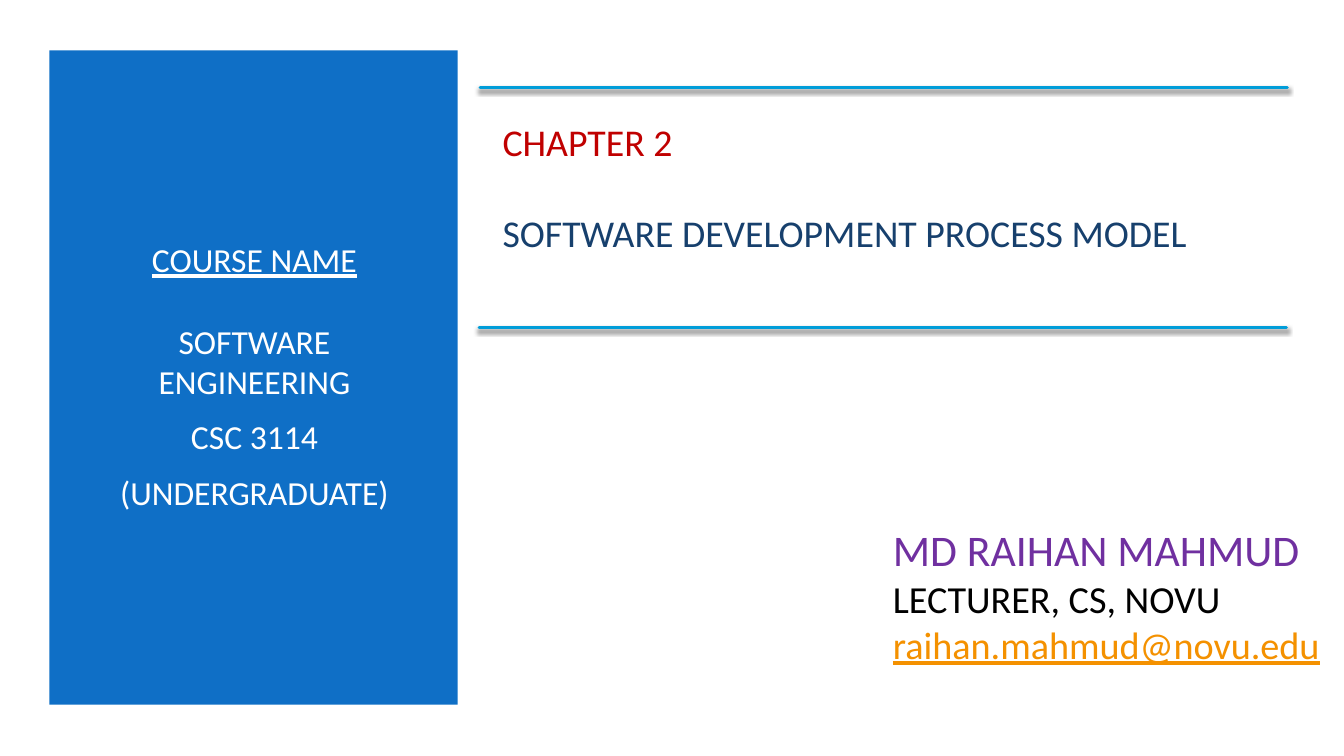
import pptx
import pptx.util
import pptx.dml.color
import pptx.enum.shapes
import pptx.enum.text
import pptx.oxml
import pptx.oxml.ns

Pt = pptx.util.Pt
ALIGN = pptx.enum.text.PP_ALIGN
FONT = "Calibri"
BLUE, CYAN, NAVY, WHITE = "0F6FC6", "009DD9", "17406D", "FFFFFF"
RED, PURPLE, BLACK, ORANGE = "C00000", "7030A0", "000000", "F49100"

SHADOW = (
    '<a:effectLst %s><a:outerShdw blurRad="38100" dist="25400" dir="5400000" '
    'rotWithShape="0"><a:srgbClr val="000000"><a:alpha val="55000"/></a:srgbClr>'
    "</a:outerShdw></a:effectLst>" % pptx.oxml.ns.nsdecls("a")
)


def rgb(value):
    return pptx.dml.color.RGBColor.from_string(value)


def add_text(slide, box, lines, align=ALIGN.LEFT):
    """Each line is (text, size, colour, underline, space before, space after)."""
    frame = slide.shapes.add_textbox(*(Pt(v) for v in box)).text_frame
    frame.word_wrap = True
    frame.vertical_anchor = pptx.enum.text.MSO_ANCHOR.MIDDLE
    for index, (text, size, colour, underline, before, after) in enumerate(lines):
        paragraph = frame.add_paragraph() if index else frame.paragraphs[0]
        paragraph.alignment = align
        paragraph.space_before = Pt(before)
        paragraph.space_after = Pt(after)
        run = paragraph.add_run()
        run.text = text
        run.font.name = FONT
        run.font.size = Pt(size)
        run.font.underline = underline
        run.font.color.rgb = rgb(colour)


def add_rule(slide, left, top, width):
    rule = slide.shapes.add_connector(
        pptx.enum.shapes.MSO_CONNECTOR.STRAIGHT,
        Pt(left), Pt(top), Pt(left + width), Pt(top))
    rule.line.color.rgb = rgb(CYAN)
    rule.line.width = Pt(2)
    rule.line._get_or_add_ln().set("cap", "rnd")
    rule._element.spPr.append(pptx.oxml.parse_xml(SHADOW))


def course_panel(slide, left, top, width, height):
    panel = slide.shapes.add_shape(
        pptx.enum.shapes.MSO_SHAPE.RECTANGLE,
        Pt(left), Pt(top), Pt(width), Pt(height))
    panel.shadow.inherit = False
    panel.fill.solid()
    panel.fill.fore_color.rgb = rgb(BLUE)
    panel.line.fill.background()

    size, before, after = 24, 4.8, 6
    add_text(slide, (left + 25.2, top + 43.2, 242.6, 378), [
        ("COURSE NAME", size, WHITE, True, before, 0),
        ("SOFTWARE ENGINEERING", size, WHITE, False, 29.3, after),
        ("CSC 3114", size, WHITE, False, before, after),
        ("(UNDERGRADUATE)", size, WHITE, False, before, after),
    ], ALIGN.CENTER)


def chapter_title(slide, left, top, width, height):
    add_text(slide, (left + 9.7, top + 16.6, 565.2, 108.7), [
        ("CHAPTER 2", 27, RED, False, 0, 0),
        ("SOFTWARE DEVELOPMENT PROCESS MODEL", 27, NAVY, False, 33, 0),
    ])
    # Rules above and below the title
    add_rule(slide, left + 0.7, top, width)
    add_rule(slide, left, top + height, width)


def lecturer_contact(slide, left, top, width, height):
    add_text(slide, (left, top, width, height), [
        ("MD RAIHAN MAHMUD", 31.2, PURPLE, False, 0, 0),
        ("LECTURER, CS, NOVU", 27.3, BLACK, False, 0, 0),
        ("raihan.mahmud@novu.edu", 27.3, ORANGE, True, 0, 0),
    ])


def main():
    deck = pptx.Presentation()
    deck.slide_width, deck.slide_height = Pt(960), Pt(540)
    slide = deck.slides.add_slide(deck.slide_layouts[6])
    slide.background.fill.solid()
    slide.background.fill.fore_color.rgb = rgb(WHITE)

    course_panel(slide, 35.3, 36, 291.6, 467.3)
    chapter_title(slide, 342.2, 62.6, 576.7, 171.4)
    lecturer_contact(slide, 630.7, 368.6, 367.2, 112.3)
    deck.save("out.pptx")


if __name__ == "__main__":
    main()
